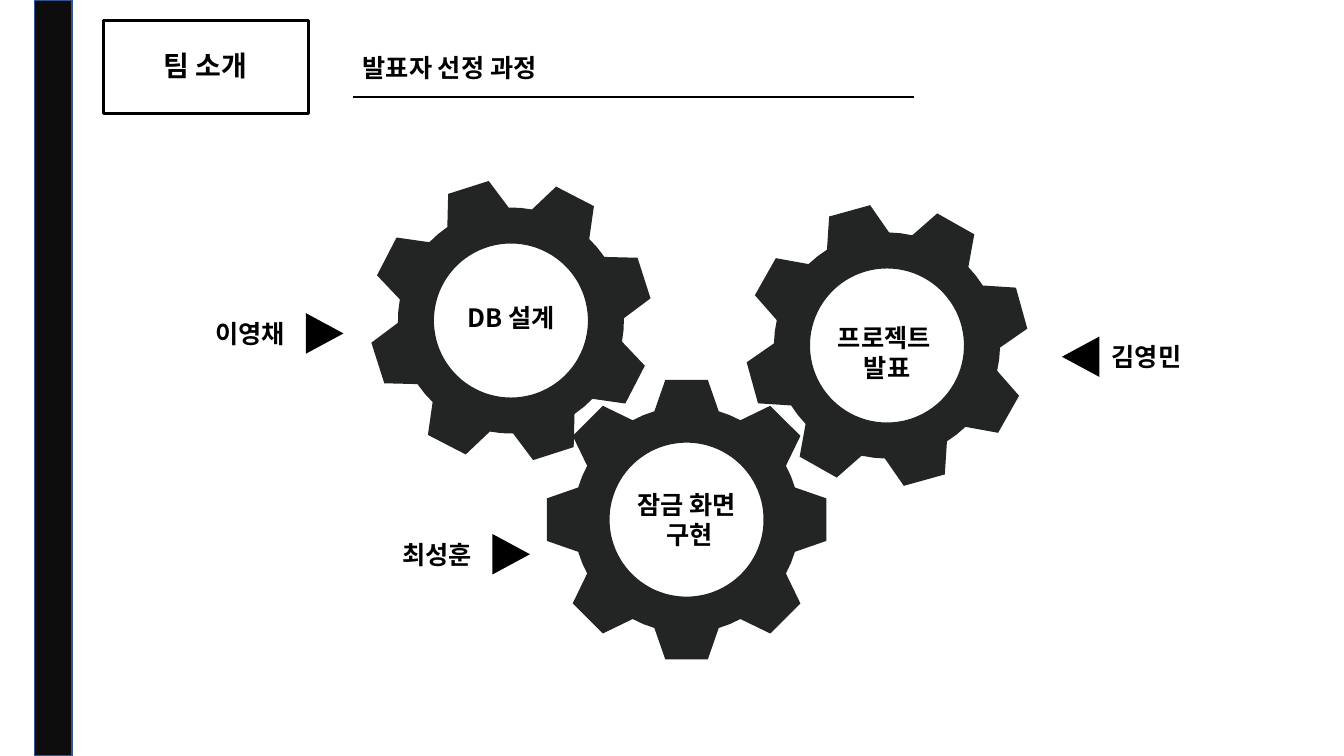
from math import cos, hypot, radians, sin

from lxml.etree import SubElement
from pptx import Presentation
from pptx.dml.color import RGBColor
from pptx.enum.shapes import MSO_CONNECTOR as Line, MSO_SHAPE as Kind
from pptx.enum.text import PP_ALIGN as Align
from pptx.oxml.ns import qn
from pptx.util import Pt

COLORS = {"ink": "000000", "gear": "232525", "bar": "0D0D0D", "edge": "325491"}
FONT = "Noto Sans CJK KR"
TEETH, TIP, HALF, ROOT, HOLE = 8, 99.8, 15.2, (23, 77.4), 55


def tint(name):
    """Return the named colour."""
    return RGBColor.from_string(COLORS[name])


def paint(shape, fill=None, line=None, width=1):
    """Set the fill and outline of a shape and drop its shadow."""
    shape.shadow.inherit = False
    if fill:
        shape.fill.solid()
        shape.fill.fore_color.rgb = tint(fill)
    else:
        shape.fill.background()
    if line:
        shape.line.color.rgb = tint(line)
        shape.line.width = Pt(width)
    else:
        shape.line.fill.background()


def write(shapes, text, x, y, w, h, size=18, font=FONT, align=Align.LEFT):
    """Add a bold text box with one paragraph per line of text."""
    frame = shapes.add_textbox(Pt(x), Pt(y), Pt(w), Pt(h)).text_frame
    frame.word_wrap = True
    for i, part in enumerate(text.split("\n")):
        para = frame.add_paragraph() if i else frame.paragraphs[0]
        para.alignment = align
        run = para.add_run()
        run.text = part
        run.font.name, run.font.size, run.font.bold = font, Pt(size), True
        run.font.color.rgb = tint("ink")
        SubElement(run._r.get_or_add_rPr(), qn("a:ea"), typeface=FONT)


def bar(shapes, x, y, w, h):
    """Draw the dark band along the left side."""
    band = shapes.add_shape(Kind.RECTANGLE, Pt(x), Pt(y), Pt(w), Pt(h))
    paint(band, "bar", "edge")


def head(shapes, x, y, w, h):
    """Draw the framed title, and the subtitle with its rule."""
    group = shapes.add_group_shape().shapes
    write(group, "팀 소개", x + 3.6, y + 16.5, w - 7.9, 55.4,
          size=20, font="Arial", align=Align.CENTER)
    frame = group.add_shape(Kind.RECTANGLE, Pt(x), Pt(y), Pt(w), Pt(h))
    paint(frame, line="ink", width=2)
    left, base = x + 177.8, y + 54.7
    rule = shapes.add_connector(Line.STRAIGHT, Pt(left), Pt(base),
                                Pt(left + 401), Pt(base))
    rule.line.color.rgb = tint("ink")
    rule.line.width = Pt(1.25)
    SubElement(rule._element.spPr, qn("a:effectLst"))
    write(shapes, "발표자 선정 과정", left, y + 19.4, 525.6, 29)


def turn(x, y, angle):
    """Turn a point clockwise about the origin."""
    a = radians(angle)
    return x * cos(a) - y * sin(a), x * sin(a) + y * cos(a)


def gear(shapes, x, y, angle):
    """Draw a gear with a round hole, centred on the given point."""
    foot, root = ROOT
    step = 360 / TEETH
    tooth = [(-foot, -root), (-HALF, -TIP), (HALF, -TIP), (foot, -root),
             turn(0, -hypot(foot, root), step / 2)]
    rim = [turn(*spot, angle + i * step) for i in range(TEETH) for spot in tooth]
    hole = [turn(0, -HOLE, -i * 4) for i in range(90)]
    pen = shapes.build_freeform(*rim[0], scale=Pt(1))
    pen = shapes.build_freeform(*[round(v * 100) for v in rim[0]], scale=Pt(1) / 100)
    pen.add_line_segments([(a * 100, b * 100) for a, b in rim[1:]])
    pen.move_to(*[v * 100 for v in hole[0]])
    pen.add_line_segments([(a * 100, b * 100) for a, b in hole[1:]])
    paint(pen.convert_to_shape(Pt(x), Pt(y)), "gear")


def label(shapes, name, x, y, left=True):
    """Draw a name and an arrowhead pointing right, or left before it."""
    group = shapes.add_group_shape().shapes
    mark = x + 70.6 if left else x - 29.5
    tip = group.add_shape(Kind.ISOSCELES_TRIANGLE, Pt(mark), Pt(y + 0.9),
                          Pt(28.9), Pt(26.8))
    tip.rotation = 90 if left else 270
    paint(tip, "ink")
    write(group, name, x, y, 80, 29)


def main():
    """Build and save the slide."""
    deck = Presentation()
    deck.slide_width, deck.slide_height = Pt(960), Pt(540)
    shapes = deck.slides.add_slide(deck.slide_layouts[6]).shapes
    bar(shapes, 24.5, 0, 27, 540)
    head(shapes, 74.2, 14.4, 146.2, 67)
    gears = [("프로젝트 \n발표", 633.6, 246.8, -15.5, 226.8),
             ("DB 설계", 365, 229, -17.7, 212.4),
             ("잠금 화면\n 구현", 490.4, 371.2, 0, 345.6)]
    for text, x, y, angle, top in gears:
        gear(shapes, x, y, angle)
        write(shapes, text, x - 73, top, 146, 29 + 22 * text.count("\n"),
              align=Align.CENTER)
    label(shapes, "이영채", 146.9, 223.9)
    label(shapes, "최성훈", 280.1, 381.6)
    label(shapes, "김영민", 787, 240.5, left=False)
    deck.save("out.pptx")


if __name__ == "__main__":
    main()
